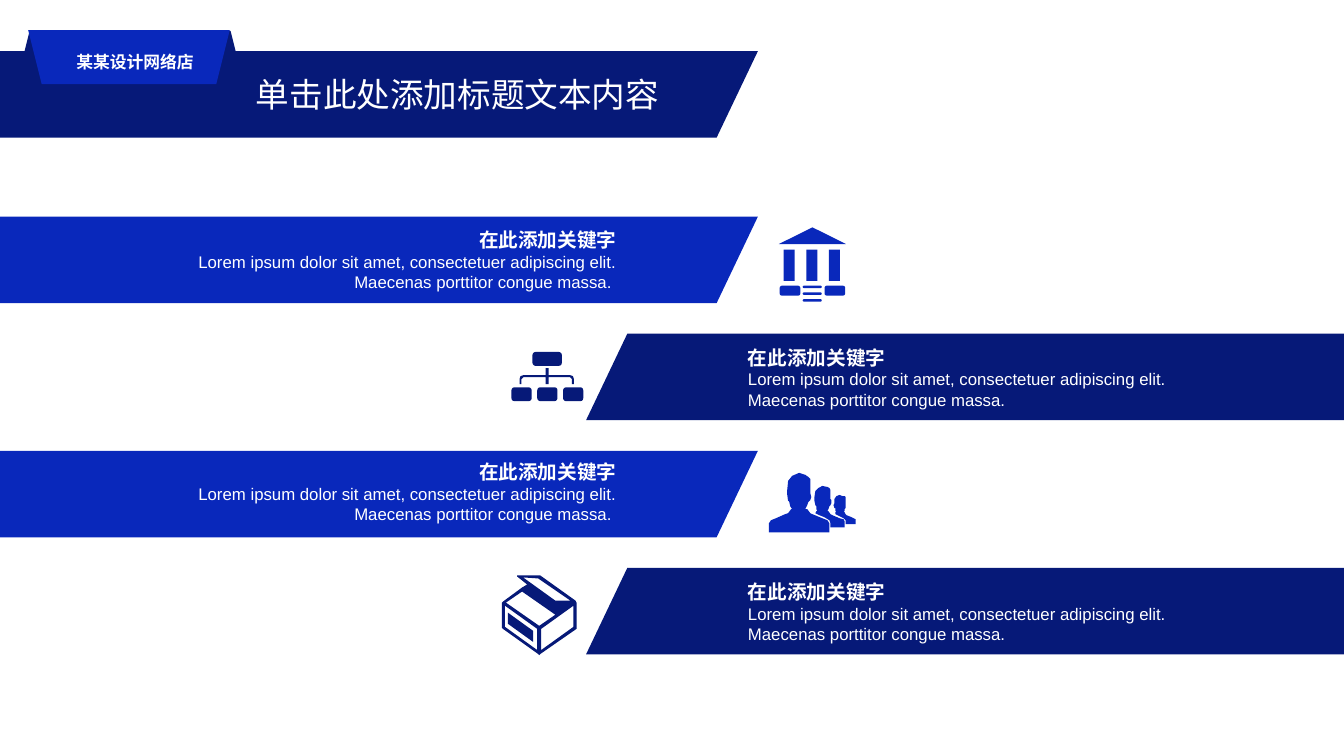
from pptx import Presentation
from pptx import util as u
from pptx.dml.color import RGBColor
from pptx.enum import shapes, text

NAVY = RGBColor(0x06, 0x19, 0x78)
BLUE = RGBColor(0x09, 0x28, 0xBB)
WHITE = RGBColor(0xFF, 0xFF, 0xFF)
FONT = "Arial"
SLIDE_WIDTH, SLIDE_HEIGHT = 33.87, 19.05
BAND_WIDTH, BAND_HEIGHT, BAND_SLANT = 19.1, 2.18, 1.04
ROW_TOP, ROW_PITCH = 5.46, 2.95
ICON_UNIT = u.Cm(2.54) / 100
KEYWORD = "在此添加关键字"
BODY = "Lorem ipsum dolor sit amet, consectetuer adipiscing elit. Maecenas porttitor congue massa."

TREE = [[(58, 23), (37, 23), (37, 16), (34, 16), (34, 23), (12, 23), (9, 24), (8, 27),
         (8, 32), (10, 32), (10, 27), (12, 25), (34, 25), (34, 32), (37, 32), (37, 25),
         (58, 25), (60, 27), (60, 32), (62, 32), (62, 27), (61, 24)]]

PEOPLE = [
    [(53, 46), (43, 42), (41, 41), (38, 37), (36, 37), (38, 33), (39, 30), (41, 28),
     (42, 25), (41, 21), (41, 14), (41, 7), (39, 5), (36, 3), (30, 1), (23, 4),
     (19, 9), (18, 19), (18, 22), (19, 29), (20, 29), (21, 34), (23, 37), (22, 37),
     (19, 41), (16, 42), (7, 46), (2, 48), (0, 51), (0, 60), (60, 60), (60, 51), (58, 48)],
    [(70, 46), (63, 43), (61, 42), (59, 39), (58, 39), (59, 37), (60, 34), (61, 33),
     (62, 31), (62, 28), (61, 27), (61, 18), (60, 16), (58, 15), (53, 14), (49, 16),
     (46, 19), (45, 26), (45, 28), (46, 33), (47, 34), (47, 37), (48, 39), (47, 39),
     (46, 41), (50, 43), (55, 45), (60, 48), (61, 51), (61, 55), (75, 55), (75, 49), (74, 47)],
    [(86, 47), (82, 45), (77, 43), (76, 42), (75, 40), (74, 40), (75, 39), (75, 37),
     (76, 36), (76, 32), (76, 25), (75, 24), (73, 24), (70, 23), (67, 24), (65, 27),
     (65, 31), (64, 33), (65, 36), (66, 36), (66, 39), (67, 40), (66, 40), (66, 42),
     (70, 44), (74, 46), (76, 48), (76, 52), (86, 52)],
]

PARCEL = [
    [(74, 27), (73, 25), (38, 0), (17, 0), (15, 0), (15, 1), (25, 9), (20, 12), (1, 26),
     (0, 27), (0, 52), (1, 53), (36, 78), (37, 79), (38, 78), (74, 53)],
    [(21, 2), (36, 3), (68, 25), (53, 25)],
    [(35, 74), (3, 51), (3, 30), (35, 53)],
    [(37, 50), (4, 27), (20, 16), (53, 39)],
    [(71, 51), (39, 74), (39, 53), (71, 30)],
    [(31, 55), (6, 37), (6, 48), (31, 66)],
]


def paint(shape, color):
    shape.shadow.inherit = False
    shape.fill.solid()
    shape.fill.fore_color.rgb = color
    shape.line.fill.background()
    return shape


def add_preset(slide, kind, box, color, adjustment=None):
    shape = slide.shapes.add_shape(kind, *(u.Cm(length) for length in box))
    if adjustment is not None:
        shape.adjustments[0] = adjustment
    return paint(shape, color)


def add_outline(slide, left, top, contours, color, unit=ICON_UNIT):
    builder = slide.shapes.build_freeform(*contours[0][0], scale=unit)
    for index, contour in enumerate(contours):
        if index:
            builder.move_to(*contour[0])
        builder.add_line_segments(contour[1:], close=True)
    return paint(builder.convert_to_shape(u.Cm(left), u.Cm(top)), color)


def add_text(slide, box, lines, align=text.PP_ALIGN.LEFT, insets=(0.33, 0.18), wrap=True):
    frame = slide.shapes.add_textbox(*(u.Cm(length) for length in box)).text_frame
    frame.word_wrap = wrap
    frame.auto_size = text.MSO_AUTO_SIZE.SHAPE_TO_FIT_TEXT
    frame.margin_left = frame.margin_right = u.Cm(insets[0])
    frame.margin_top = frame.margin_bottom = u.Cm(insets[1])
    for index, (words, size, bold) in enumerate(lines):
        paragraph = frame.add_paragraph() if index else frame.paragraphs[0]
        paragraph.alignment = align
        run = paragraph.add_run()
        run.text = words
        run.font.name = FONT
        run.font.size = u.Pt(size)
        run.font.bold = bold
        run.font.color.rgb = WHITE


def add_band(slide, left, top, color, points_right):
    if points_right:
        corners = [(0, 0), (BAND_WIDTH, 0), (BAND_WIDTH - BAND_SLANT, BAND_HEIGHT), (0, BAND_HEIGHT)]
    else:
        corners = [(BAND_WIDTH, BAND_HEIGHT), (0, BAND_HEIGHT), (BAND_SLANT, 0), (BAND_WIDTH, 0)]
    contour = [(round(x * 100), round(y * 100)) for x, y in corners]
    add_outline(slide, left, top, [contour], color, unit=u.Cm(0.01))


def add_header(slide, left, top):
    add_preset(slide, shapes.MSO_SHAPE.TRAPEZOID, (left + 0.41, top - 0.51, 5.74, 1.35), NAVY)
    add_band(slide, left, top, NAVY, True)
    tag = add_preset(slide, shapes.MSO_SHAPE.TRAPEZOID, (left + 0.71, top - 0.53, 5.08, 1.36), BLUE)
    tag.rotation = 180
    add_text(slide, (left + 0.99, top - 0.11, 4.83, 0.77), [("某某设计网络店", 12, True)],
             align=text.PP_ALIGN.CENTER, insets=(0.25, 0.13))
    add_text(slide, (left + 6.12, top + 0.4, 10.95, 1.38),
             [("单击此处添加标题文本内容", 24, False)], wrap=False)


def add_bank(slide, left, top, color):
    kinds = shapes.MSO_SHAPE
    add_preset(slide, kinds.ISOSCELES_TRIANGLE, (left, top, 1.69, 0.42), color)
    for index in range(3):
        add_preset(slide, kinds.RECTANGLE, (left + 0.12 + 0.57 * index, top + 0.56, 0.28, 0.79), color)
        add_preset(slide, kinds.ROUNDED_RECTANGLE,
                   (left + 0.6, top + 1.47 + 0.17 * index, 0.48, 0.06), color, 0.5)
    for offset in (0.02, 1.15):
        add_preset(slide, kinds.ROUNDED_RECTANGLE, (left + offset, top + 1.47, 0.52, 0.25), color, 0.22)


def add_hierarchy(slide, left, top, color):
    kind = shapes.MSO_SHAPE.ROUNDED_RECTANGLE
    add_preset(slide, kind, (left + 0.53, top, 0.74, 0.35), color, 0.22)
    for index in range(3):
        add_preset(slide, kind, (left + 0.65 * index, top + 0.89, 0.51, 0.35), color, 0.22)
    add_outline(slide, left, top, TREE, color)


def add_people(slide, left, top, color):
    add_outline(slide, left, top, PEOPLE, color)


def add_parcel(slide, left, top, color):
    add_outline(slide, left, top, PARCEL, color)


def add_row(slide, top, points_right, text_offset, add_icon, icon_left, icon_offset):
    color = BLUE if points_right else NAVY
    left = 0 if points_right else SLIDE_WIDTH - BAND_WIDTH
    add_band(slide, left, top, color, points_right)
    text_left = left + (4.29 if points_right else 3.75)
    add_text(slide, (text_left, top + text_offset, 11.58, 1.96),
             [(KEYWORD, 14, True), (BODY + " " if points_right else BODY, 12, False)],
             align=text.PP_ALIGN.RIGHT if points_right else text.PP_ALIGN.LEFT)
    add_icon(slide, left + icon_left, top + icon_offset, color)


def main():
    presentation = Presentation()
    presentation.slide_width = u.Cm(SLIDE_WIDTH)
    presentation.slide_height = u.Cm(SLIDE_HEIGHT)
    slide = presentation.slides.add_slide(presentation.slide_layouts[6])
    add_header(slide, 0, 1.29)
    rows = [
        (0.1, add_bank, 19.63, 0.27),
        (0.12, add_hierarchy, -1.88, 0.46),
        (0.06, add_people, 19.38, 0.53),
        (0.12, add_parcel, -2.12, 0.19),
    ]
    for index, row in enumerate(rows):
        add_row(slide, ROW_TOP + ROW_PITCH * index, index % 2 == 0, *row)
    presentation.save("out.pptx")


if __name__ == "__main__":
    main()
